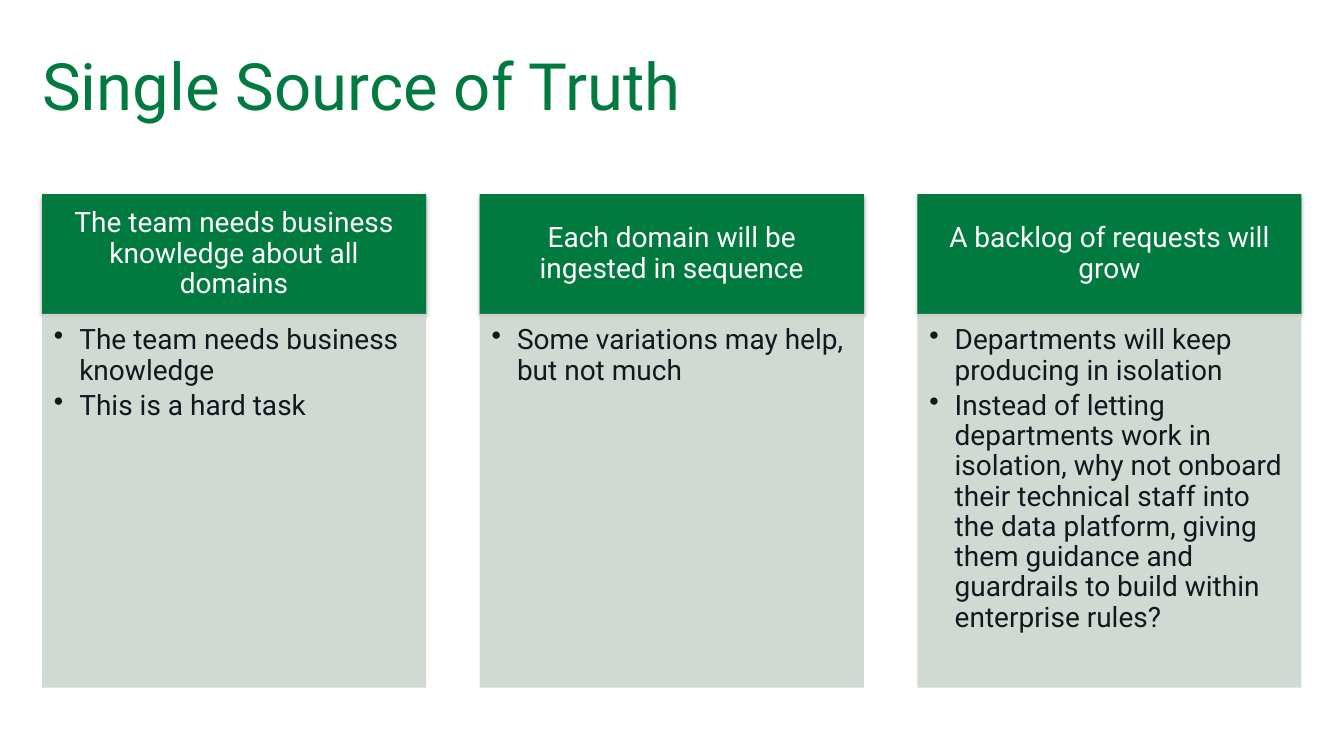
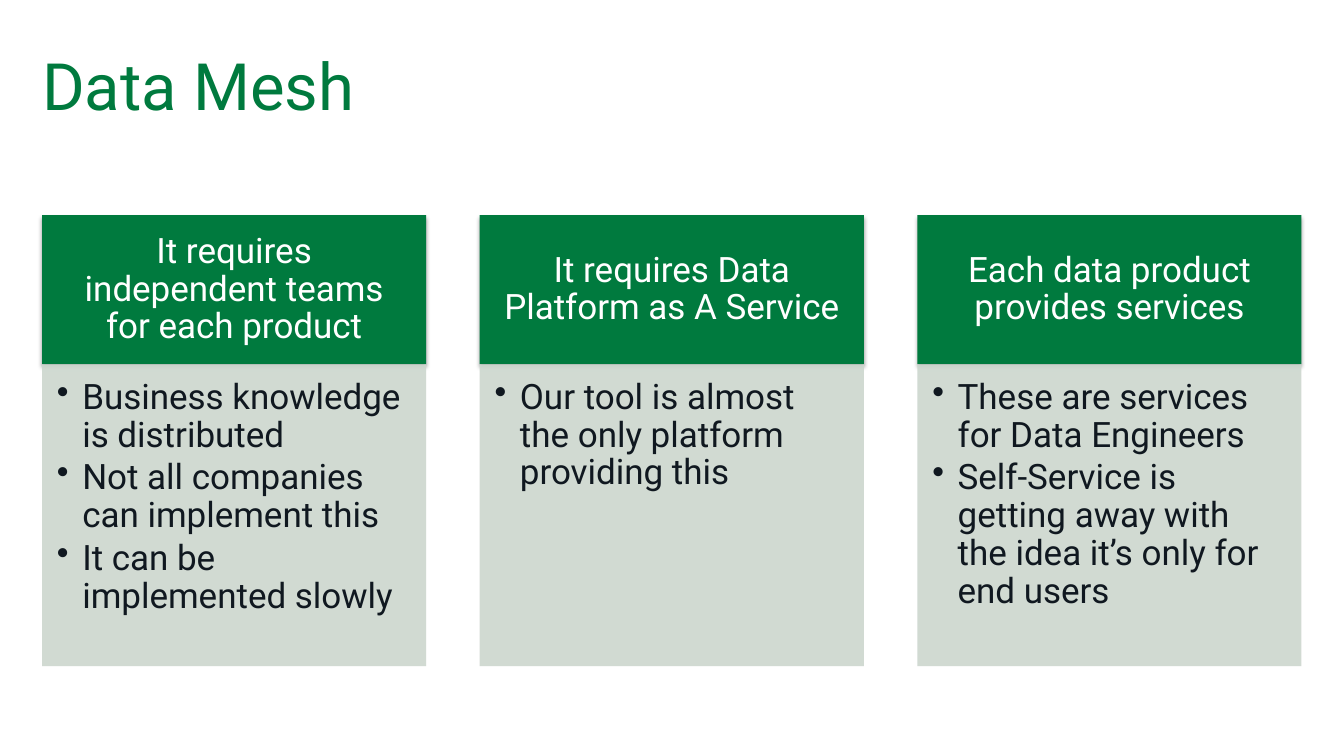
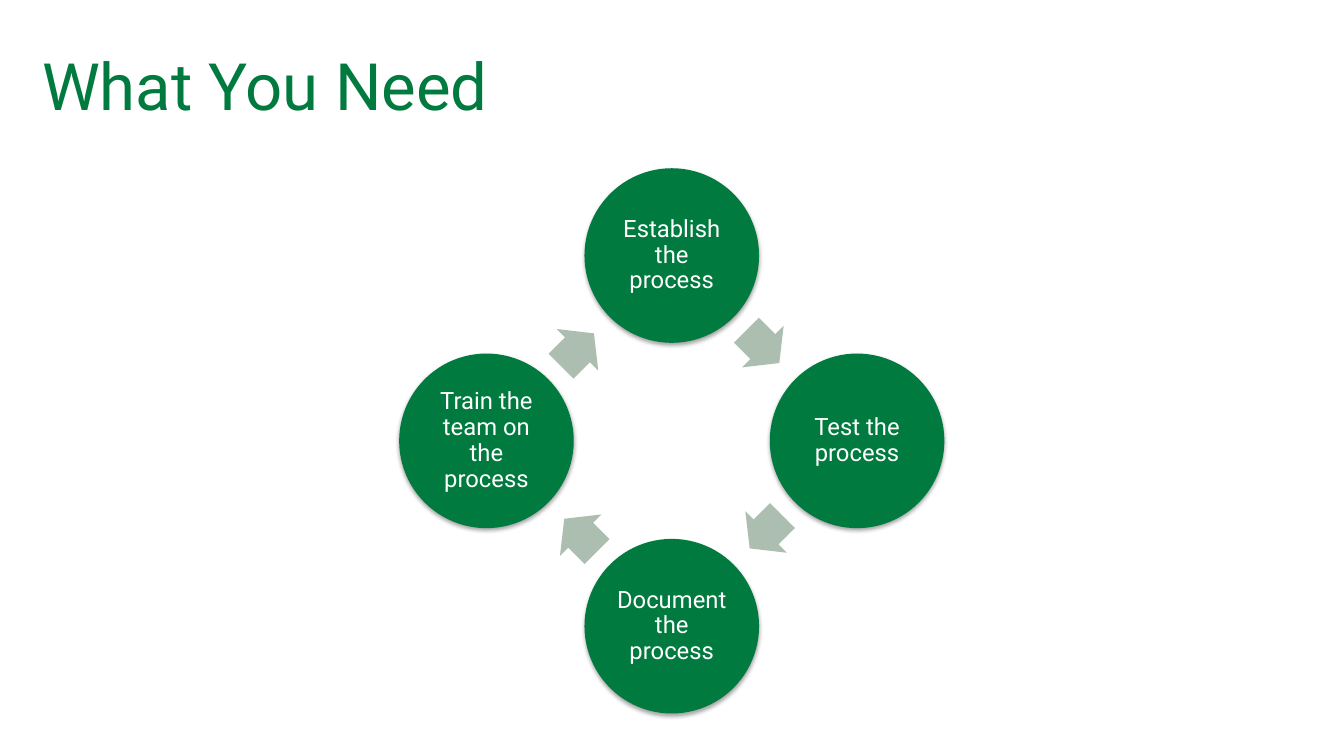
from lxml import etree
from pptx import Presentation
from pptx.dml.color import RGBColor
from pptx.enum import shapes, text
from pptx.oxml import parse_xml
from pptx.oxml.ns import nsdecls, qn
from pptx.util import Cm, Pt

# Content
COLUMN_SLIDES = [
    {"title": "Single Source of Truth", "size": 20,
     "top": 4.89, "head": 3.02, "body": 9.42,
     "columns": [
         ("The team needs business knowledge about all domains",
          ["The team needs business knowledge", "This is a hard task"]),
         ("Each domain will be ingested in sequence",
          ["Some variations may help, but not much"]),
         ("A backlog of requests will grow",
          ["Departments will keep producing in isolation",
           "Instead of letting departments work in isolation, why not onboard "
           "their technical staff into the data platform, giving them guidance "
           "and guardrails to build within enterprise rules?"]),
     ]},
    {"title": "Data Mesh", "size": 25,
     "top": 5.42, "head": 3.76, "body": 7.61,
     "columns": [
         ("It requires independent teams for each product",
          ["Business knowledge is distributed",
           "Not all companies can implement this",
           "It can be implemented slowly"]),
         ("It requires Data Platform as A Service",
          ["Our tool is almost the only platform providing this"]),
         ("Each data product provides services",
          ["These are services for Data Engineers",
           "Self-Service is getting away with the idea it’s only for end users"]),
     ]},
]
CYCLE_TITLE = "What You Need"
CYCLE_STEPS = ["Establish the process", "Test the process",
               "Document the process", "Train the team on the process"]

# Shared style
FONT = "Roboto"
GREEN = RGBColor(0x00, 0x7A, 0x3E)
PALE = RGBColor(0xCC, 0xD7, 0xCE)
SAGE = RGBColor(0xAB, 0xBE, 0xAF)
INK = RGBColor(0x10, 0x18, 0x20)
WHITE = RGBColor(0xFF, 0xFF, 0xFF)
LEFT, COL_W, COL_STEP = 1.06, 9.68, 11.03
BULLET_INDENT = Cm(0.64)
MSO = shapes.MSO_SHAPE
MIDDLE, TOP = text.MSO_ANCHOR.MIDDLE, text.MSO_ANCHOR.TOP

# Cycle geometry: centre, ring radius, circle diameter, arrow size
CX, CY, RING, CIRCLE = 16.93, 11.11, 4.67, 4.4
ARROW_W, ARROW_H, ARROW_LAG = 1.17, 1.48, 0.04
DIRECTIONS = [(0, -1), (1, 0), (0, 1), (-1, 0)]


def set_all(obj, values):
    for name, value in values.items():
        setattr(obj, name, value)


def style_title(prs, layout):
    """Give every title its place, font and colour through master and layout."""
    level = prs.slide_master.element.find(".//" + qn("p:titleStyle")).find(qn("a:lvl1pPr"))
    level.set("algn", "l")
    level.replace(level.find(qn("a:defRPr")), parse_xml(
        f'<a:defRPr {nsdecls("a")} sz="4660"><a:solidFill><a:srgbClr val="{GREEN}"/>'
        f'</a:solidFill><a:latin typeface="{FONT}"/></a:defRPr>'))
    title = layout.placeholders[0]
    set_all(title, dict(left=Cm(LEFT), top=Cm(1.06), width=Cm(31.75), height=Cm(2.12)))
    set_all(title.text_frame, dict(
        margin_left=0, margin_top=0, margin_right=0, margin_bottom=0,
        vertical_anchor=MIDDLE, auto_size=text.MSO_AUTO_SIZE.NONE))


def add_slide(prs, layout, title):
    s = prs.slides.add_slide(layout)
    s.shapes.title.text = title
    return s


def add_block(s, kind, box, fill, shadow=False, alpha=None):
    sp = s.shapes.add_shape(kind, *map(Cm, box))
    sp.shadow.inherit = False
    sp.fill.solid()
    sp.fill.fore_color.rgb = fill
    sp.line.fill.background()
    if alpha:
        color = sp.element.spPr.find(".//" + qn("a:srgbClr"))
        etree.SubElement(color, qn("a:alpha"), val=str(alpha * 1000))
    if shadow:
        sp.element.spPr.find(qn("a:effectLst")).append(parse_xml(
            f'<a:outerShdw {nsdecls("a")} blurRad="{Pt(3.1)}" dist="{Pt(1.8)}" '
            'dir="5400000" rotWithShape="0"><a:srgbClr val="000000">'
            '<a:alpha val="35000"/></a:srgbClr></a:outerShdw>'))
    return sp


def write(sp, lines, size, color, margins, bullets=False):
    tf = sp.text_frame
    sides = ("margin_left", "margin_top", "margin_right", "margin_bottom")
    set_all(tf, dict(zip(sides, map(Cm, margins))))
    set_all(tf, dict(word_wrap=True, vertical_anchor=TOP if bullets else MIDDLE))
    for i, line in enumerate(lines):
        p = tf.add_paragraph() if i else tf.paragraphs[0]
        if bullets:
            pPr = p._p.get_or_add_pPr()
            pPr.set("marL", str(BULLET_INDENT))
            pPr.set("indent", str(-BULLET_INDENT))
            etree.SubElement(pPr, qn("a:buChar"), char="•")
        set_all(p, dict(
            alignment=text.PP_ALIGN.LEFT if bullets else text.PP_ALIGN.CENTER,
            line_spacing=0.9, space_after=Pt(3.5 if bullets else 0)))
        r = p.add_run()
        r.text = line
        set_all(r.font, dict(name=FONT, size=Pt(size)))
        r.font.color.rgb = color


def add_columns(s, data):
    size, top, head_h = data["size"], data["top"], data["head"]
    # Margins grow with the text size
    side, edge, inner, bottom = (size * k for k in (0.02, 0.011, 0.015, 0.022))
    for i, (heading, points) in enumerate(data["columns"]):
        x = LEFT + i * COL_STEP
        head = add_block(s, MSO.RECTANGLE, (x, top, COL_W, head_h), GREEN, shadow=True)
        write(head, [heading], size, WHITE, (side, edge, side, edge))
        body = add_block(s, MSO.RECTANGLE, (x, top + head_h, COL_W, data["body"]),
                         PALE, alpha=90)
        write(body, points, size, INK, (inner, inner, side, bottom), bullets=True)


def add_cycle(s, steps):
    for i, step in enumerate(steps):
        dx, dy = DIRECTIONS[i]
        nx, ny = DIRECTIONS[(i + 1) % len(DIRECTIONS)]
        circle = add_block(s, MSO.OVAL, (CX + RING * dx - CIRCLE / 2,
                                         CY + RING * dy - CIRCLE / 2, CIRCLE, CIRCLE),
                           GREEN, shadow=True)
        write(circle, [step], 17, WHITE, (0.05,) * 4)
        # Arrow halfway to the next circle, set slightly back
        ax = CX + RING * (dx + nx) / 2 - ARROW_LAG * (nx - dx)
        ay = CY + RING * (dy + ny) / 2 - ARROW_LAG * (ny - dy)
        arrow = add_block(s, MSO.RIGHT_ARROW, (ax - ARROW_W / 2, ay - ARROW_H / 2,
                                               ARROW_W, ARROW_H), SAGE)
        arrow.adjustments[0], arrow.adjustments[1] = 0.6, 0.5
        arrow.rotation = 45 + 90 * i


def main():
    prs = Presentation()
    set_all(prs, dict(slide_width=Cm(33.87), slide_height=Cm(19.05)))
    layout = prs.slide_layouts.get_by_name("Title Only")
    style_title(prs, layout)
    for data in COLUMN_SLIDES:
        add_columns(add_slide(prs, layout, data["title"]), data)
    add_cycle(add_slide(prs, layout, CYCLE_TITLE), CYCLE_STEPS)
    prs.save("out.pptx")


if __name__ == "__main__":
    main()
